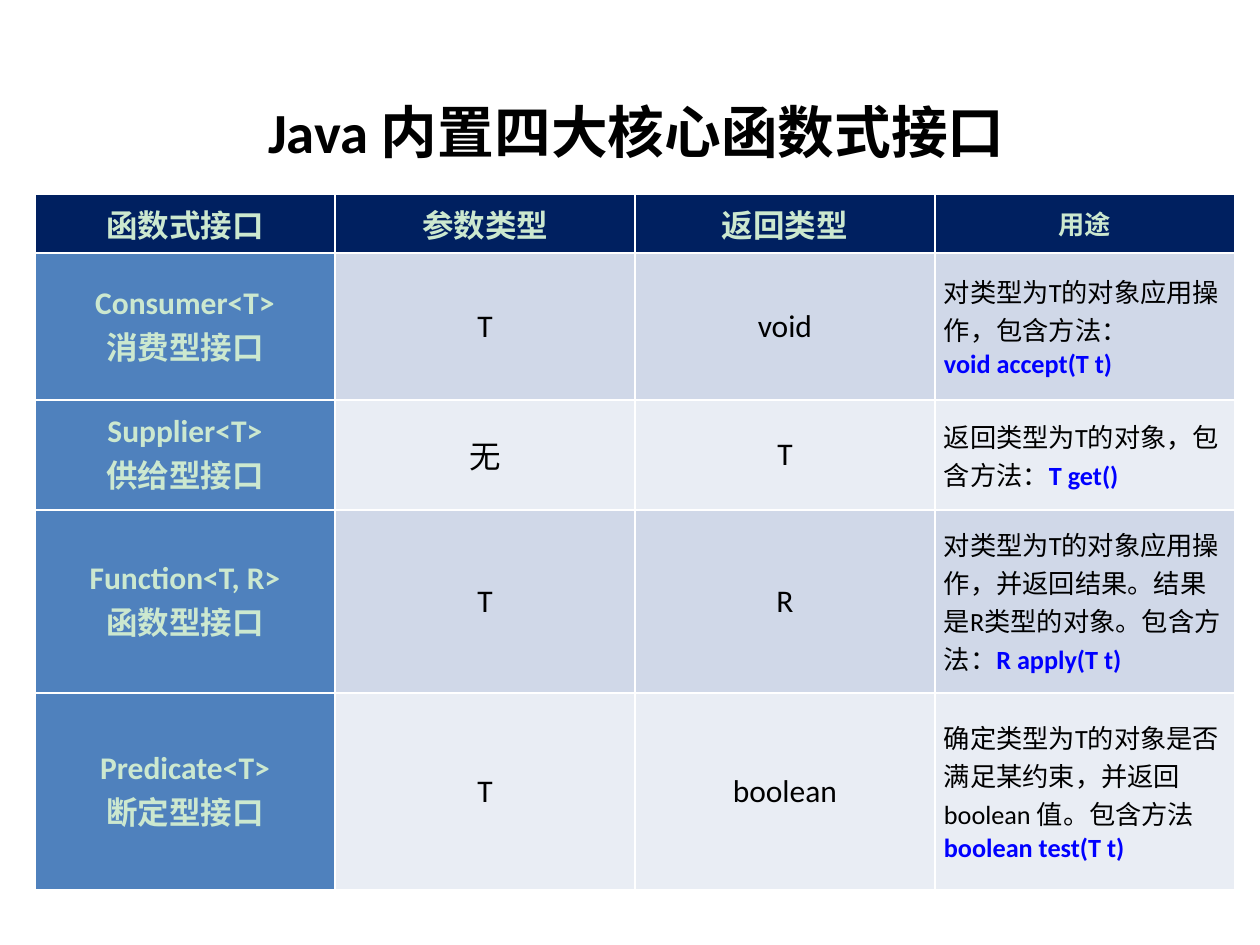
from dataclasses import dataclass

from pptx import Presentation
from pptx import util as u
from pptx.dml.color import RGBColor
from pptx.enum import text

PX_PER_INCH = 126
FONT = "Calibri"
WHITE = RGBColor(0xFF, 0xFF, 0xFF)
BLACK = RGBColor(0x00, 0x00, 0x00)
PALE_GREEN = RGBColor(0xCC, 0xE8, 0xCF)
NAVY = RGBColor(0x00, 0x20, 0x60)
BLUE = RGBColor(0x4F, 0x81, 0xBD)
CODE_BLUE = RGBColor(0x00, 0x00, 0xFF)
BANDS = (RGBColor(0xD0, 0xD8, 0xE8), RGBColor(0xE9, 0xED, 0xF4))

HEADERS = ("函数式接口", "参数类型", "返回类型", "用途")
COLUMN_WIDTH = 300
ROW_HEIGHTS = (59, 147, 110, 183, 197)


@dataclass(frozen=True)
class Style:
    size: float
    color: RGBColor
    bold: bool = False


TITLE = Style(32.4, BLACK, True)
HEADING = Style(18, PALE_GREEN, True)
SMALL_HEADING = Style(15, PALE_GREEN, True)
TYPE = Style(18, BLACK)
USAGE = Style(15, BLACK)
METHOD = Style(15, CODE_BLUE, True)


@dataclass(frozen=True)
class Interface:
    name: str
    label: str
    parameter: str
    result: str
    usage: str
    method: str
    method_on_new_line: bool


INTERFACES = (
    Interface("Consumer<T>", "消费型接口", "T", "void",
              "对类型为T的对象应用操作，包含方法：", "void accept(T t)", True),
    Interface("Supplier<T>", "供给型接口", "无", "T",
              "返回类型为T的对象，包含方法：", "T get()", False),
    Interface("Function<T, R>", "函数型接口", "T", "R",
              "对类型为T的对象应用操作，并返回结果。结果是R类型的对象。包含方法：",
              "R apply(T t)", False),
    Interface("Predicate<T>", "断定型接口", "T", "boolean",
              "确定类型为T的对象是否满足某约束，并返回 boolean 值。包含方法",
              "boolean test(T t)", True),
)


def px(length: int) -> u.Emu:
    return u.Emu(round(length * 914400 / PX_PER_INCH))


def set_font(font, style: Style) -> None:
    font.name = FONT
    font.size = u.Pt(style.size)
    font.bold = style.bold
    font.color.rgb = style.color


def write(frame, lines: list, align=text.PP_ALIGN.CENTER) -> None:
    for index, spans in enumerate(lines):
        para = frame.add_paragraph() if index else frame.paragraphs[0]
        para.alignment = align
        for words, style in spans:
            span = para.add_run()
            span.text = words
            if len(spans) > 1:
                set_font(span.font, style)
        if len(spans) == 1:
            set_font(para.font, spans[0][1])


def fill_cell(cell, fill: RGBColor, lines: list, align=text.PP_ALIGN.CENTER) -> None:
    cell.fill.solid()
    cell.fill.fore_color.rgb = fill
    cell.vertical_anchor = text.MSO_ANCHOR.MIDDLE
    cell.margin_left = cell.margin_right = px(9)
    cell.margin_top = cell.margin_bottom = 0
    write(cell.text_frame, lines, align)


def draw_title(page) -> None:
    box = page.shapes.add_textbox(px(246), px(76), px(781), px(110))
    frame = box.text_frame
    frame.word_wrap = True
    frame.vertical_anchor = text.MSO_ANCHOR.MIDDLE
    write(frame, [[("Java 内置四大核心函数式接口", TITLE)]])


def draw_interface(table, row: int, item: Interface) -> None:
    band = BANDS[(row - 1) % 2]
    usage, method = (item.usage, USAGE), (item.method, METHOD)
    purpose = [[usage], [method]] if item.method_on_new_line else [[usage, method]]
    fill_cell(table.cell(row, 0), BLUE, [[(item.name, HEADING)], [(item.label, HEADING)]])
    fill_cell(table.cell(row, 1), band, [[(item.parameter, TYPE)]])
    fill_cell(table.cell(row, 2), band, [[(item.result, TYPE)]])
    fill_cell(table.cell(row, 3), band, purpose, text.PP_ALIGN.LEFT)


def draw_table(page) -> None:
    frame = page.shapes.add_table(
        len(ROW_HEIGHTS), len(HEADERS), px(35), px(194),
        px(COLUMN_WIDTH * len(HEADERS)), px(sum(ROW_HEIGHTS)))
    table = frame.table
    for column in table.columns:
        column.width = px(COLUMN_WIDTH)
    for row, height in zip(table.rows, ROW_HEIGHTS):
        row.height = px(height)
    for column, header in enumerate(HEADERS):
        style = SMALL_HEADING if header == HEADERS[-1] else HEADING
        fill_cell(table.cell(0, column), NAVY, [[(header, style)]])
    for row, item in enumerate(INTERFACES, start=1):
        draw_interface(table, row, item)


def main() -> None:
    deck = Presentation()
    deck.slide_width, deck.slide_height = px(1260), px(945)
    page = deck.slides.add_slide(deck.slide_layouts[6])
    page.background.fill.solid()
    page.background.fill.fore_color.rgb = WHITE
    draw_title(page)
    draw_table(page)
    deck.save("out.pptx")


if __name__ == "__main__":
    main()
